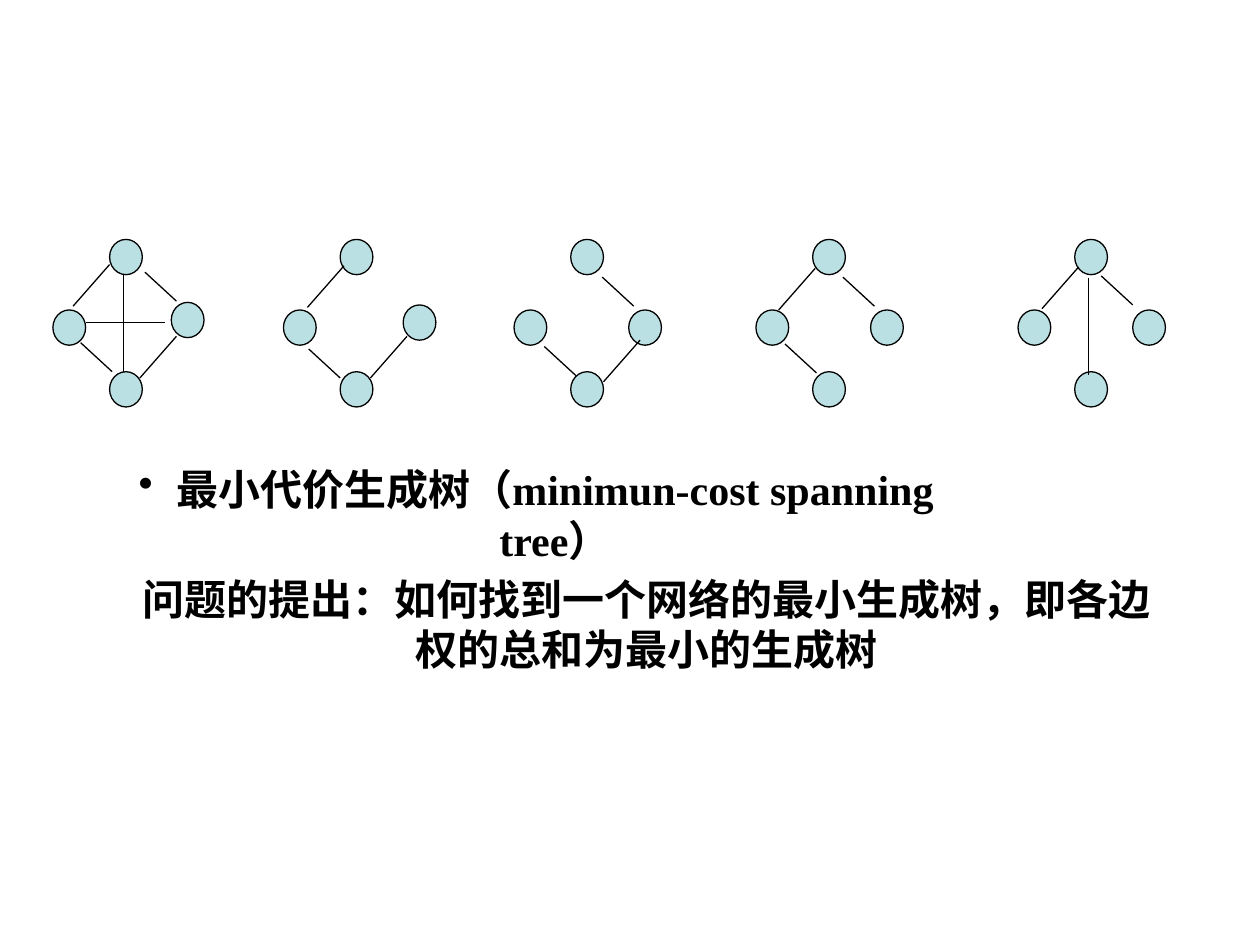
from lxml import etree
from pptx import Presentation
from pptx import util as u
from pptx.dml.color import RGBColor
from pptx.enum import shapes, text
from pptx.oxml.ns import qn

BLACK = RGBColor(0x00, 0x00, 0x00)
NODE_BLUE = RGBColor(0xBB, 0xE0, 0xE3)
FONT = "Times New Roman"

GRAPH_TOP = 1.9
NODE_SIZE = (0.26, 0.28)
LEFT, TOP, BOTTOM = (0, 0.56), (0.45, 0), (0.45, 1.05)
RIGHT = (0.91, 0.56)

# Every edge of one kind has the same run and rise
RISING, FALLING = (0.29, -0.33), (0.25, 0.23)
VERTICAL, HORIZONTAL = (0, 0.77), (0.63, 0)

# Left side, right-hand node, and edges as (kind, start) within the graph
GRAPHS = [
    (0.42, (0.94, 0.5), [
        (VERTICAL, (0.56, 0.28)), (HORIZONTAL, (0.26, 0.66)),
        (RISING, (0.16, 0.53)), (FALLING, (0.22, 0.82)),
        (RISING, (0.69, 1.1)), (FALLING, (0.73, 0.26))]),
    (2.25, (0.95, 0.52), [
        (RISING, (0.19, 0.54)), (RISING, (0.69, 1.1)),
        (FALLING, (0.2, 0.87))]),
    (4.08, RIGHT, [
        (FALLING, (0.24, 0.85)), (FALLING, (0.7, 0.3)),
        (RISING, (0.71, 1.13))]),
    (6.0, RIGHT, [
        (FALLING, (0.23, 0.83)), (FALLING, (0.69, 0.3)),
        (RISING, (0.18, 0.56))]),
    (8.08, RIGHT, [
        (FALLING, (0.66, 0.29)), (RISING, (0.19, 0.55)),
        (VERTICAL, (0.56, 0.31))]),
]


def inches(*values):
    return [u.Inches(value) for value in values]


def style_line(line):
    line.color.rgb = BLACK
    line.width = u.Pt(0.75)


def add_node(group, x, y):
    node = group.shapes.add_shape(
        shapes.MSO_SHAPE.OVAL, *inches(x, y, *NODE_SIZE))
    node.shadow.inherit = False
    node.fill.solid()
    node.fill.fore_color.rgb = NODE_BLUE
    style_line(node.line)


def add_edge(group, x, y, run, rise):
    edge = group.shapes.add_connector(
        shapes.MSO_CONNECTOR.STRAIGHT, *inches(x, y, x + run, y + rise))
    etree.SubElement(edge._element.spPr, qn("a:effectLst"))
    style_line(edge.line)
    # effectLst must follow the line in the shape properties
    properties = edge._element.spPr
    properties.append(properties.find(qn("a:effectLst")))


def add_graph(page, left, right_node, edges):
    group = page.shapes.add_group_shape()
    for x, y in (LEFT, TOP, right_node, BOTTOM):
        add_node(group, left + x, GRAPH_TOP + y)
    for (run, rise), (x, y) in edges:
        add_edge(group, left + x, GRAPH_TOP + y, run, rise)


def add_bullet(para, margin, indent):
    properties = para._p.get_or_add_pPr()
    properties.set("marL", str(u.Inches(margin)))
    properties.set("indent", str(u.Inches(indent)))
    etree.SubElement(properties, qn("a:buChar")).set("char", "•")


def add_text(page, lines, at, wrap=False, bullet=False):
    box = page.shapes.add_textbox(*inches(*at))
    frame = box.text_frame
    frame.word_wrap = wrap
    frame.vertical_anchor = text.MSO_ANCHOR.MIDDLE
    for number, line in enumerate(lines):
        para = frame.add_paragraph() if number else frame.paragraphs[0]
        para.alignment = text.PP_ALIGN.CENTER
        if bullet:
            add_bullet(para, margin=0.35, indent=-0.3)
        span = para.add_run()
        span.text = line
        span.font.name = FONT
        span.font.size = u.Pt(24)
        span.font.bold = True
        span.font.color.rgb = BLACK


def main():
    deck = Presentation()
    deck.slide_width, deck.slide_height = inches(10, 7.5)
    page = deck.slides.add_slide(deck.slide_layouts[6])

    # The full graph and its spanning trees
    for left, right_node, edges in GRAPHS:
        add_graph(page, left, right_node, edges)

    # Definition and problem
    add_text(page, ["最小代价生成树（minimun-cost spanning tree）"],
             (0.48, 3.83, 7.5, 0.5), wrap=True, bullet=True)
    add_text(page, ["问题的提出：如何找到一个网络的最小生成树，即各边",
                    "权的总和为最小的生成树"],
             (1.03, 4.5, 8.2, 0.9))

    deck.save("out.pptx")


if __name__ == "__main__":
    main()
